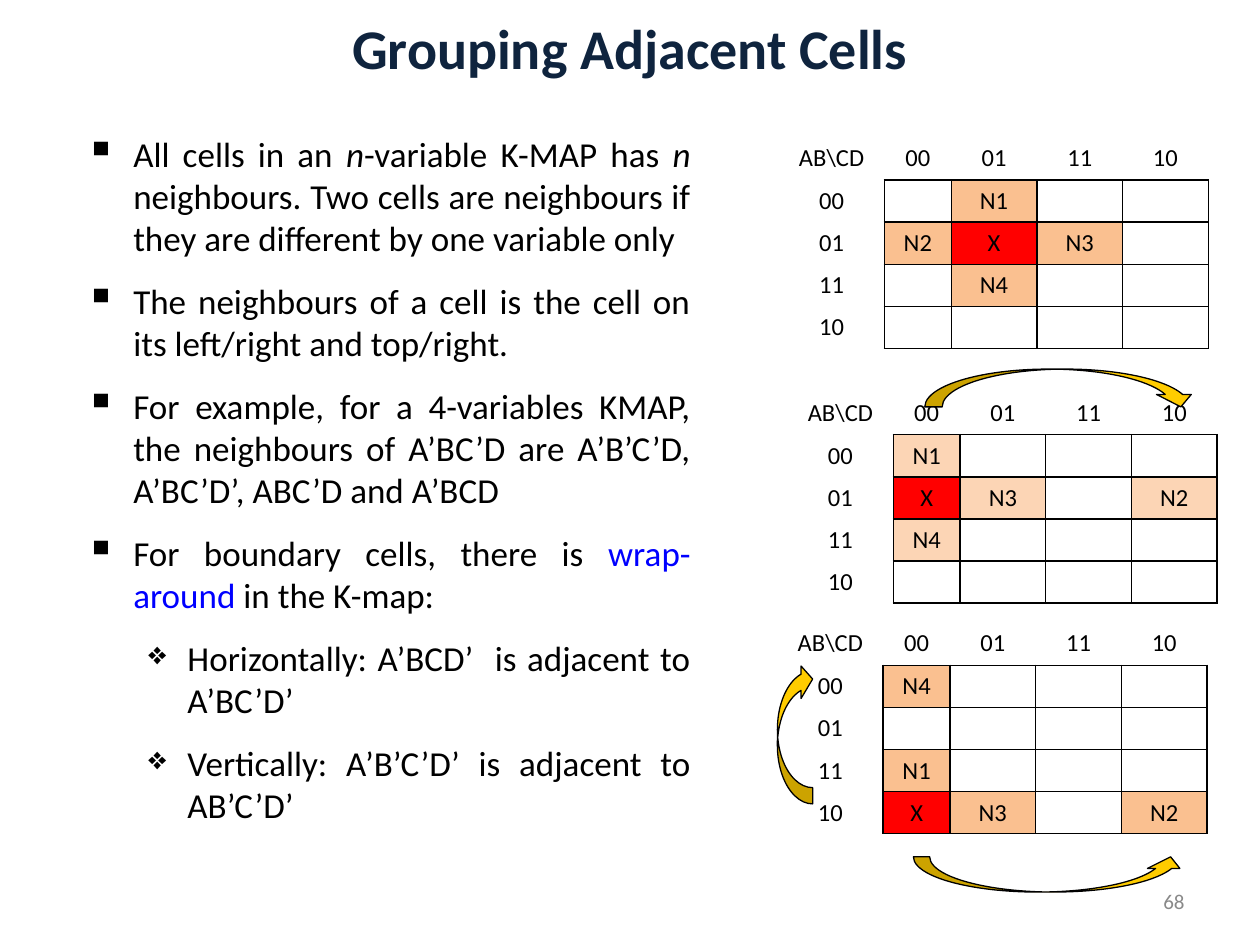
from lxml import etree
from pptx import Presentation
from pptx.dml.color import RGBColor
from pptx.enum.shapes import MSO_SHAPE
from pptx.enum.text import MSO_ANCHOR, PP_ALIGN
from pptx.oxml.ns import qn
from pptx.util import Inches, Pt

CURVED_ARROW = MSO_SHAPE.CURVED_UP_ARROW
TOP, MIDDLE = MSO_ANCHOR.TOP, MSO_ANCHOR.MIDDLE
CENTER, RIGHT, JUSTIFY = PP_ALIGN.CENTER, PP_ALIGN.RIGHT, PP_ALIGN.JUSTIFY
BLACK, WHITE, RED, BLUE = "000000", "FFFFFF", "FF0000", "0000FF"
ORANGE, PEACH = "FAC090", "FCD5B5"


def rgb(value):
    return RGBColor.from_string(value)


def add_run(paragraph, text, size, color=BLACK, **formats):
    run = paragraph.add_run()
    run.text = text
    run.font.color.rgb = rgb(color)
    for name, value in {"name": "Calibri", "size": Pt(size), **formats}.items():
        setattr(run.font, name, value)


prs = Presentation()
prs.slide_width, prs.slide_height = Inches(10), Inches(7.5)
slide = prs.slides.add_slide(prs.slide_layouts[6])

frames = []
for left, top, width, height, anchor in [
    (7.17, 6.95, 2.33, 0.4, MIDDLE),
    (0.58, 1, 5, 1.42, TOP),
    (0, 0, 10, 0.75, MIDDLE),
]:
    frame = slide.shapes.add_textbox(
        Inches(left), Inches(top), Inches(width), Inches(height)
    ).text_frame
    frame.word_wrap = True
    frame.vertical_anchor = anchor
    frames.append(frame)
page_number, body, title = frames

page_number.paragraphs[0].alignment = RIGHT
add_run(page_number.paragraphs[0], "68", 12, "898989")
title.paragraphs[0].alignment = CENTER
add_run(title.paragraphs[0], "Grouping Adjacent Cells", 32, "0F243E", bold=True)

bullet_styles = [("▪", 120, 0.38, 0.38), ("❖", 90, 0.81, 0.31)]
italic, blue = {"italic": True}, {"color": BLUE}
points = [
    (0, [("All cells in an ", {}), ("n", italic), ("-variable K-MAP has ", {}), ("n", italic),
         (" neighbours. Two cells are neighbours if they are different by one variable only", {})]),
    (0, [("The neighbours of a cell is the cell on its left/right and top/right.", {})]),
    (0, [("For example, for a 4-variables KMAP, the neighbours of A’BC’D are "
          "A’B’C’D, A’BC’D’, ABC’D and A’BCD", {})]),
    (0, [("For boundary cells, there is ", {}), ("wrap-around", blue), (" in the K-map:", {})]),
    (1, [("Horizontally: A’BCD’  is adjacent to A’BC’D’", {})]),
    (1, [("Vertically: A’B’C’D’ is adjacent to AB’C’D’", {})]),
]
for index, (level, pieces) in enumerate(points):
    point = body.add_paragraph() if index else body.paragraphs[0]
    symbol, percent, margin, hanging = bullet_styles[level]
    point.level = level
    point.alignment = JUSTIFY
    point.space_before = Pt(12 if index else 0)
    properties = point._p.get_or_add_pPr()
    properties.set("marL", str(Inches(margin)))
    properties.set("indent", str(-Inches(hanging)))
    etree.SubElement(properties, qn("a:buSzPct")).set("val", str(percent * 1000))
    etree.SubElement(properties, qn("a:buChar")).set("char", symbol)
    for text, formats in pieces:
        add_run(point, text, 20, **formats)

gray_code = ["00", "01", "11", "10"]
column_widths = [0.84, 0.53, 0.68, 0.68, 0.68]
row_heights = [0.35, 0.33, 0.33, 0.33, 0.33]
headings = {(0, 0): "AB\\CD"}
for index, code in enumerate(gray_code, 1):
    headings[0, index] = headings[index, 0] = code

k_maps = [
    (6.18, 1.08, ORANGE, {(1, 2): "N1", (2, 1): "N2", (2, 2): "X", (2, 3): "N3", (3, 2): "N4"}),
    (6.25, 3.1, PEACH, {(1, 1): "N1", (2, 1): "X", (2, 2): "N3", (2, 4): "N2", (3, 1): "N4"}),
    (6.17, 4.93, ORANGE, {(1, 1): "N4", (3, 1): "N1", (4, 1): "X", (4, 2): "N3", (4, 4): "N2"}),
]
for left, top, neighbour_color, marks in k_maps:
    k_map = slide.shapes.add_table(
        5, 5, Inches(left), Inches(top), Inches(sum(column_widths)), Inches(sum(row_heights))
    ).table
    for column, width in zip(k_map.columns, column_widths):
        column.width = Inches(width)
    for row, height in zip(k_map.rows, row_heights):
        row.height = Inches(height)
    for r in range(5):
        for c in range(5):
            cell = k_map.cell(r, c)
            inside = r > 0 and c > 0
            borders = {
                "lnL": inside,
                "lnR": r > 0,
                "lnT": inside,
                "lnB": c > 0,
            }
            cell_properties = cell._tc.get_or_add_tcPr()
            for side, visible in borders.items():
                border = etree.SubElement(cell_properties, qn(f"a:{side}"), w=str(Pt(1)))
                if visible:
                    paint = etree.SubElement(border, qn("a:solidFill"))
                    etree.SubElement(paint, qn("a:srgbClr")).set("val", BLACK)
                else:
                    etree.SubElement(border, qn("a:noFill"))
            mark = marks.get((r, c))
            cell.fill.solid()
            cell.fill.fore_color.rgb = rgb(
                RED if mark == "X" else neighbour_color if mark else WHITE
            )
            cell.vertical_anchor = MIDDLE
            label = cell.text_frame.paragraphs[0]
            label.alignment = CENTER
            text = mark or headings.get((r, c))
            if text:
                add_run(label, text, 14)
            else:
                label._p.get_or_add_endParaRPr().set("sz", "1400")

wrap_arrows = [
    (7.34, 2.93, 2.17, 0.3, 0, "flipV"),
    (7.25, 6.8, 2.17, 0.28, 0, None),
    (5.75, 5.68, 1.12, 0.28, 90, "flipH"),
]
for left, top, width, height, rotation, flip in wrap_arrows:
    arrow = slide.shapes.add_shape(
        CURVED_ARROW, Inches(left), Inches(top), Inches(width), Inches(height)
    )
    arrow.shadow.inherit = False
    arrow.rotation = rotation
    if flip:
        arrow._element.spPr.xfrm.set(flip, "1")
    for index, value in enumerate([0.46, 0.92, 0.33]):
        arrow.adjustments[index] = value
    arrow.fill.solid()
    arrow.fill.fore_color.rgb = rgb("FFCC00")
    arrow.line.color.rgb = rgb(BLACK)
    arrow.line.width = Pt(0.75)

prs.save("out.pptx")
